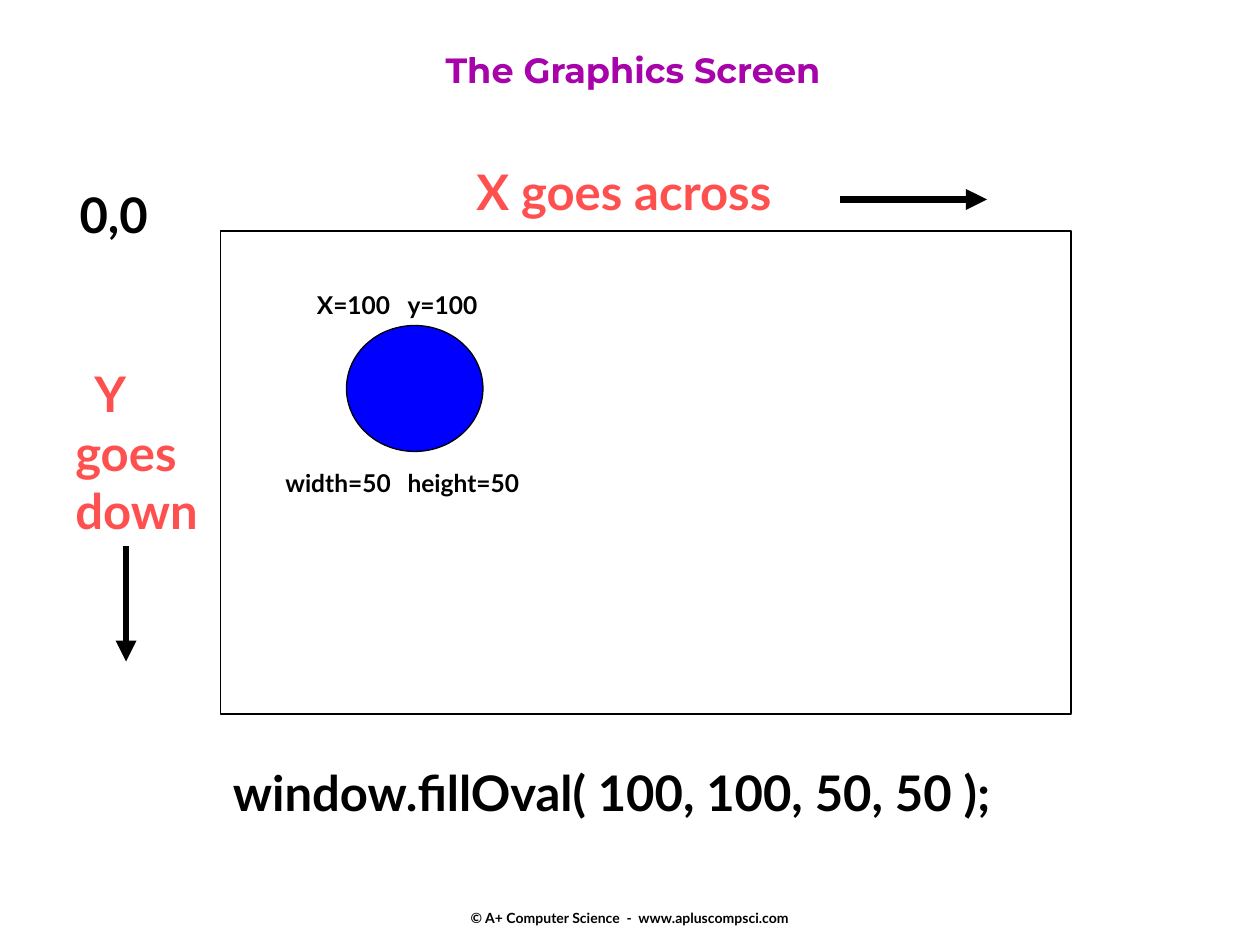
from lxml import etree
from pptx import Presentation
from pptx.dml.color import RGBColor
from pptx.enum.shapes import MSO_CONNECTOR, MSO_SHAPE
from pptx.enum.text import MSO_ANCHOR, PP_ALIGN
from pptx.oxml.ns import qn
from pptx.util import Inches, Pt

RECTANGLE, OVAL = MSO_SHAPE.RECTANGLE, MSO_SHAPE.OVAL
STRAIGHT = MSO_CONNECTOR.STRAIGHT
LEFT, CENTER = PP_ALIGN.LEFT, PP_ALIGN.CENTER
TOP, MIDDLE = MSO_ANCHOR.TOP, MSO_ANCHOR.MIDDLE

WIDTH, HEIGHT = Inches(10), Inches(7.5)
COLUMNS, ROWS = 120, 90
COLORS = {
    "black": "000000",
    "white": "FFFFFF",
    "blue": "0000FF",
    "coral": "FF5050",
    "purple": "A603AB",
}


def color(name):
    """Return a named color."""
    return RGBColor.from_string(COLORS[name])


def grid(*values):
    """Turn alternating columns and rows into slide lengths."""
    units = (WIDTH / COLUMNS, HEIGHT / ROWS)
    return [round(value * units[index % 2]) for index, value in enumerate(values)]


def add_text(page, place, lines, size=28, ink="black", font="Lato", align=LEFT, anchor=TOP):
    """Add a bold text box with one paragraph per line and return its paragraphs."""
    frame = page.shapes.add_textbox(*grid(*place)).text_frame
    frame.word_wrap = True
    frame.vertical_anchor = anchor
    frame.text = "\n".join(lines)
    for para in frame.paragraphs:
        para.alignment = align
        para.font.name = font
        para.font.size = Pt(size)
        para.font.bold = True
        para.font.color.rgb = color(ink)
    return frame.paragraphs


def add_pair(page, place, first, second, stop):
    """Add a small label whose second part starts at a tab stop in inches."""
    para = add_text(page, place, [f"{first}\t{second}"], size=14)[0]
    properties = para._p.get_or_add_pPr()
    tabs = etree.Element(qn("a:tabLst"))
    etree.SubElement(tabs, qn("a:tab"), pos=str(Inches(stop)), algn="l")
    properties.insert(0, tabs)


def add_figure(page, kind, place, fill):
    """Add a filled shape with a thin black outline."""
    figure = page.shapes.add_shape(kind, *grid(*place))
    figure.shadow.inherit = False
    figure.fill.solid()
    figure.fill.fore_color.rgb = color(fill)
    figure.line.color.rgb = color("black")
    figure.line.width = Pt(0.75)


def add_arrow(page, ends):
    """Add a thick black arrow between two grid points."""
    arrow = page.shapes.add_connector(STRAIGHT, *grid(*ends))
    arrow.line.color.rgb = color("black")
    arrow.line.width = Pt(4)
    etree.SubElement(arrow.line._get_or_add_ln(), qn("a:tailEnd"), type="triangle")
    etree.SubElement(arrow._element.spPr, qn("a:effectLst"))


def main():
    """Build the graphics screen slide."""
    deck = Presentation()
    deck.slide_width, deck.slide_height = WIDTH, HEIGHT
    page = deck.slides.add_slide(deck.slide_layouts[6])

    add_text(page, (41, 85, 38, 4.8), ["© A+ Computer Science  -  www.apluscompsci.com"],
             size=8, align=CENTER, anchor=MIDDLE)
    add_figure(page, RECTANGLE, (21, 22, 81, 46), "white")
    add_text(page, (6.4, 17, 9, 6.8), ["0,0"])
    add_text(page, (26, 4, 68.6, 8.5), ["The Graphics Screen"],
             size=20, ink="purple", font="Montserrat", align=CENTER)
    add_text(page, (21, 72, 79.8, 6.8), ["window.fillOval( 100, 100, 50, 50 );"])

    add_text(page, (44.2, 14.8, 33.6, 6.8), ["X goes across"], ink="coral")
    down = add_text(page, (6, 34, 15.2, 18), ["Y", "goes", "down"], ink="coral")
    down[0]._p.get_or_add_pPr().set("marL", str(Inches(0.15)))
    add_arrow(page, (12, 52, 12, 63))
    add_arrow(page, (80, 19, 94, 19))

    add_figure(page, OVAL, (33, 31, 13, 12), "blue")
    add_pair(page, (29, 27, 24, 4), "X=100", "y=100", 0.72)
    add_pair(page, (26, 44, 29, 4), "width=50", "height=50", 0.97)
    deck.save("out.pptx")


if __name__ == "__main__":
    main()
